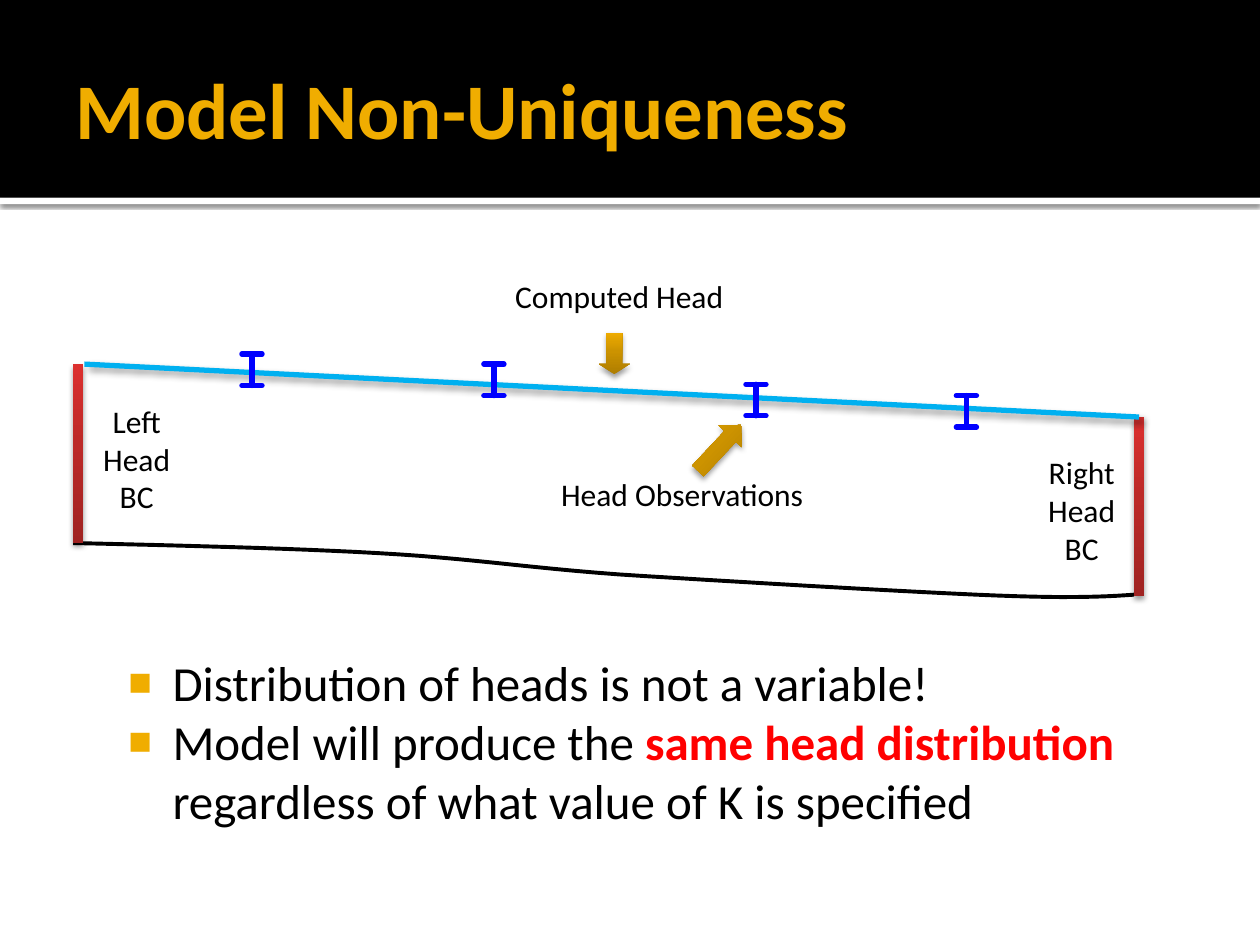
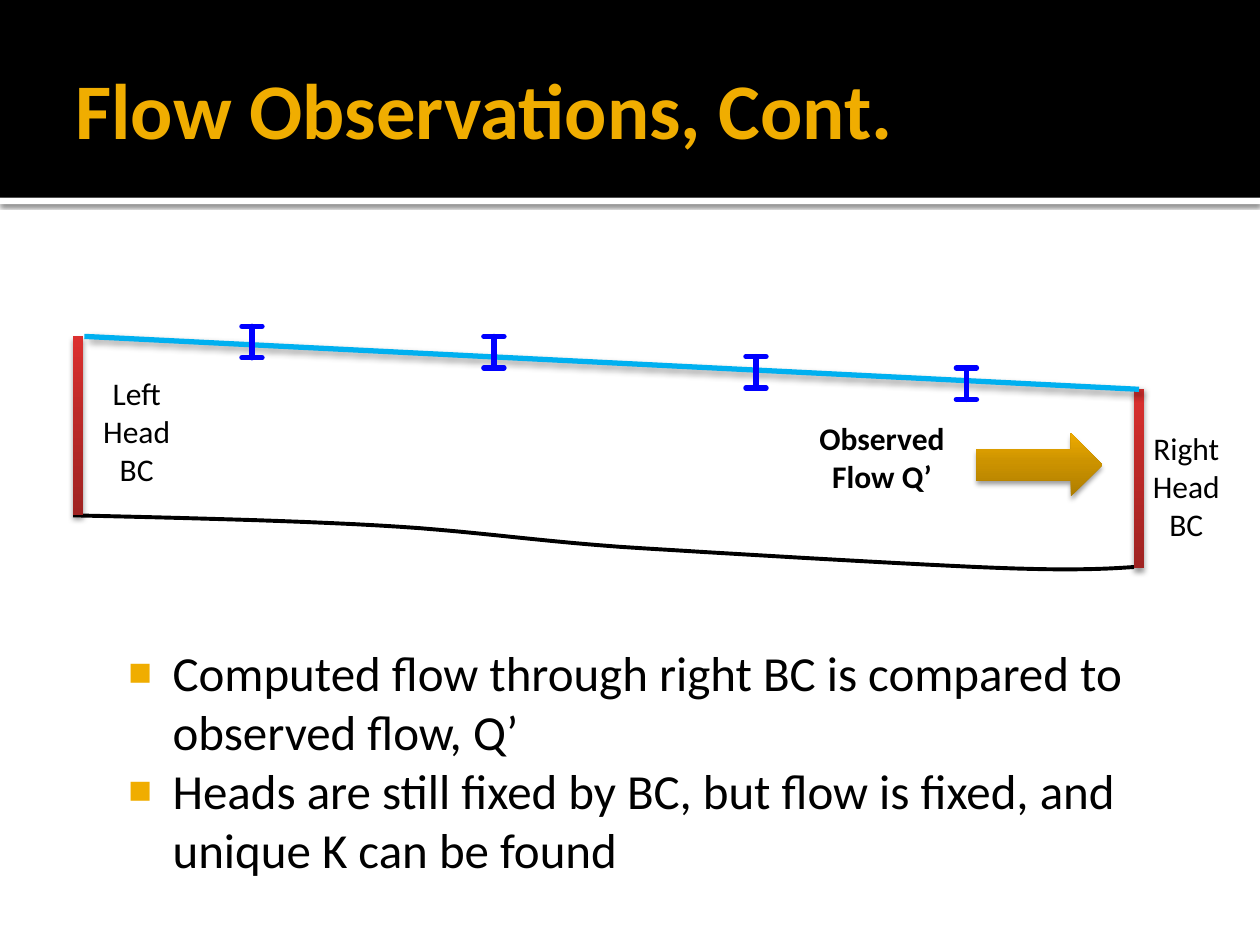
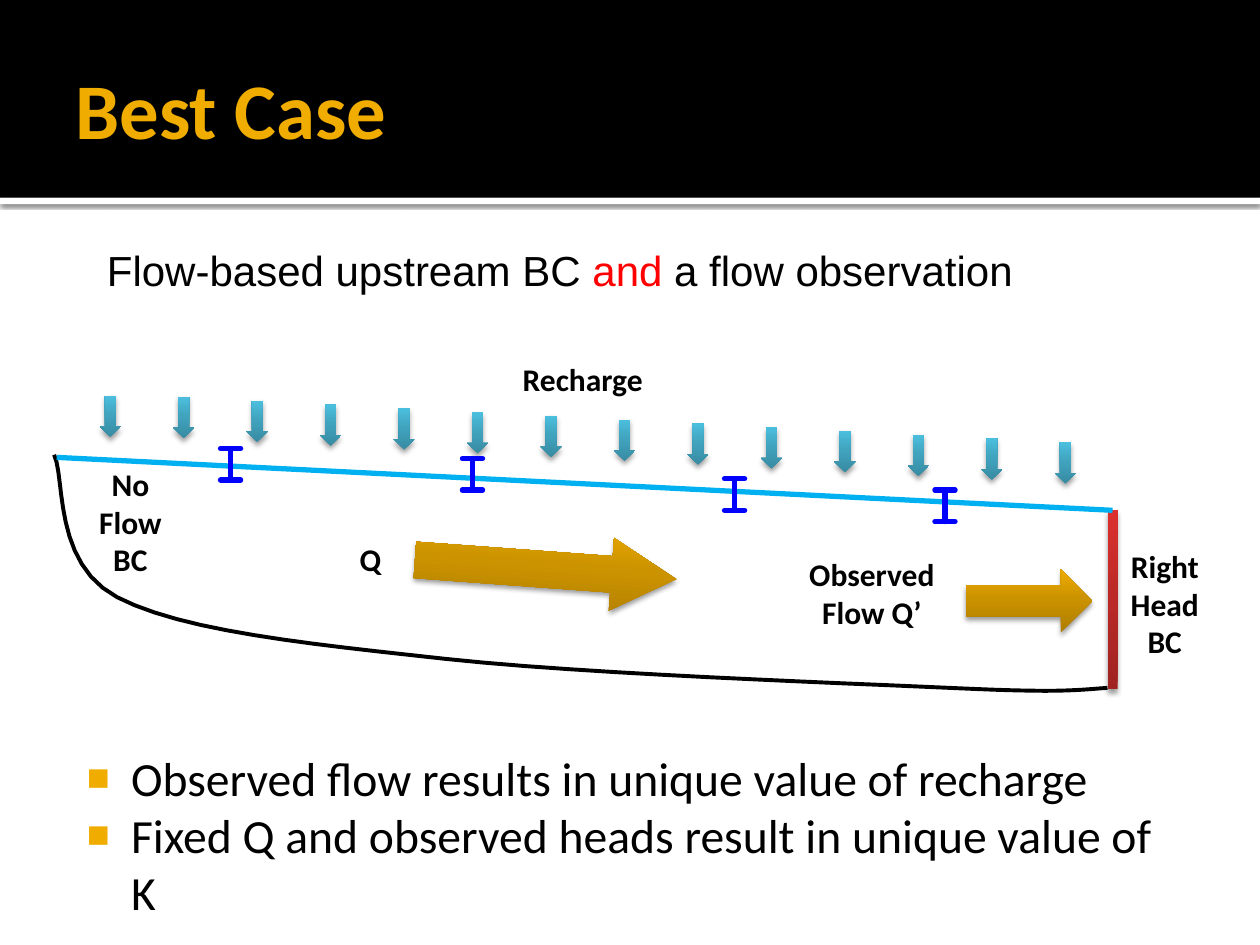
import copy
from dataclasses import dataclass

import lxml.etree
import pptx
import pptx.dml.color
import pptx.enum.shapes
import pptx.enum.text
import pptx.oxml.ns
import pptx.util
from pptx.util import Inches

SHAPE = pptx.enum.shapes.MSO_SHAPE
ALIGN = pptx.enum.text.PP_ALIGN
qn = pptx.oxml.ns.qn


@dataclass(frozen=True)
class Theme:
    font: str = "Calibri"
    subtitle_font: str = "Arial"
    black: str = "000000"
    white: str = "FFFFFF"
    gold: str = "F0AD00"
    red: str = "FF0000"
    water: str = "00B0F0"
    marker: str = "0000FF"
    # Gradients run from the bottom of a shape to its top.
    red_gradient: tuple = ("A02322", "BC2A28", "DC302F")
    gold_gradient: tuple = ("AE7D00", "CC9300", "EEAB00")
    blue_gradient: tuple = ("378BA2", "41A4BF", "4BBFDE")
    gradient_positions: tuple = (0, 0.55, 1)
    # Shadows: opacity %, blur pt, distance pt, direction in degrees.
    band_shadow: tuple = (60, 2.5, 0.8, 90)
    shape_shadow: tuple = (38, 3.1, 2, 90)
    line_shadow: tuple = (40, 4, 3, 45)
    title_size: float = 45
    body_size: float = 28
    small_body_size: float = 27.2
    subtitle_size: float = 24
    label_size: float = 18


THEME = Theme()

# Bezier control points: x from the left edge, y below the water table's start.
SLOPING_BED = [
    (0.58, 1.42), (1.43, 1.44), (2.28, 1.46), (3, 1.5), (3.72, 1.54),
    (4.12, 1.61), (4.92, 1.67), (5.71, 1.72), (7.07, 1.8), (7.75, 1.83),
    (8.43, 1.86), (8.72, 1.85), (9, 1.83),
]
BASIN_BED = [
    (0.43, -0.02), (0.52, 0.17), (0.42, 0.84), (0.93, 1.11), (1.45, 1.38),
    (2.44, 1.48), (3.54, 1.6), (4.64, 1.72), (6.66, 1.79), (7.54, 1.83),
    (8.41, 1.87), (8.5, 1.85), (8.79, 1.83),
]
# Steps from the first head observation to each one.
MARKER_STEPS = [(0, 0), (1.92, 0.08), (4, 0.24), (5.67, 0.33)]


def rgb(color):
    return pptx.dml.color.RGBColor.from_string(color)


def set_shadow(shape, shadow=None):
    """Replace the theme's shadow; call after fill and line are set."""
    properties = shape.element.spPr
    for effects in properties.findall(qn("a:effectLst")):
        properties.remove(effects)
    effects = lxml.etree.SubElement(properties, qn("a:effectLst"))
    if shadow:
        opacity, blur, distance, direction = shadow
        outer = lxml.etree.SubElement(
            effects, qn("a:outerShdw"),
            blurRad=str(pptx.util.Pt(blur)), dist=str(pptx.util.Pt(distance)),
            dir=str(direction * 60000), algn="ctr", rotWithShape="0")
        color = lxml.etree.SubElement(outer, qn("a:srgbClr"), val=THEME.black)
        lxml.etree.SubElement(color, qn("a:alpha"), val=str(opacity * 1000))


def fill_gradient(shape, colors):
    shape.fill.gradient()
    shape.fill.gradient_angle = 90
    stops = shape.element.spPr.find(".//" + qn("a:gsLst"))
    stops.insert(1, copy.deepcopy(stops[0]))
    for stop, color, position in zip(
            shape.fill.gradient_stops, colors, THEME.gradient_positions):
        stop.color.rgb = rgb(color)
        stop.position = position


def add_filled_shape(slide, kind, box, fill, shadow=None, rotation=0):
    """Add a shape without outline; fill is a colour or a gradient tuple."""
    shape = slide.shapes.add_shape(kind, *map(Inches, box))
    shape.rotation = rotation
    shape.shadow.inherit = False
    if isinstance(fill, tuple):
        fill_gradient(shape, fill)
    else:
        shape.fill.solid()
        shape.fill.fore_color.rgb = rgb(fill)
    shape.line.fill.background()
    set_shadow(shape, shadow)
    return shape


def add_arrow(slide, kind, box, colors, rotation=0, adjustments=(0.5, 0.5)):
    arrow = add_filled_shape(slide, kind, box, colors, THEME.shape_shadow, rotation)
    for index, value in enumerate(adjustments):
        arrow.adjustments[index] = value


def add_line(slide, start, end, color, shadow=None, round_cap=False):
    line = slide.shapes.add_connector(
        pptx.enum.shapes.MSO_CONNECTOR.STRAIGHT, *map(Inches, (*start, *end)))
    line.line.color.rgb = rgb(color)
    line.line.width = pptx.util.Pt(3)
    if round_cap:
        line.element.spPr.find(qn("a:ln")).set("cap", "rnd")
    set_shadow(line, shadow)


def bezier_points(controls, steps=12):
    """Sample a chain of cubic curves, leaving out its first point."""
    for first in range(0, len(controls) - 1, 3):
        for step in range(1, steps + 1):
            t = step / steps
            weights = ((1 - t) ** 3, 3 * t * (1 - t) ** 2, 3 * t ** 2 * (1 - t), t ** 3)
            yield tuple(
                sum(weight * point[axis]
                    for weight, point in zip(weights, controls[first:first + 4]))
                for axis in (0, 1))


def add_bed(slide, controls, top):
    """Draw the aquifer bottom as an open curve."""
    start_x, start_y = controls[0]
    builder = slide.shapes.build_freeform(Inches(start_x), Inches(top + start_y))
    builder.add_line_segments(
        [(Inches(x), Inches(top + y)) for x, y in bezier_points(controls)], close=False)
    bed = builder.convert_to_shape()
    bed.shadow.inherit = False
    bed.fill.background()
    bed.line.color.rgb = rgb(THEME.black)
    bed.line.width = pptx.util.Pt(2.25)


def add_head_boundary(slide, left, top):
    add_filled_shape(slide, SHAPE.RECTANGLE, (left, top, 0.08, 1.42),
                     THEME.red_gradient, THEME.shape_shadow)


def add_head_markers(slide, left, top):
    """Draw the I-shaped head observations, the first centred on left."""
    for step_x, step_y in MARKER_STEPS:
        x, upper = left + step_x, top + step_y
        lower = upper + 0.25
        add_line(slide, (x, upper), (x, lower), THEME.marker, round_cap=True)
        for y in (upper, lower):
            add_line(slide, (x - 0.08, y), (x + 0.08, y), THEME.marker, round_cap=True)


def add_two_head_section(slide, top):
    """Draw an aquifer with a fixed head at both ends."""
    add_bed(slide, SLOPING_BED, top)
    add_head_boundary(slide, 0.58, top)
    add_head_boundary(slide, 9, top + 0.42)
    add_label(slide, "Left Head BC", (0.67, top + 0.25, 0.83, 1))
    add_line(slide, (0.67, top), (9.04, top + 0.42), THEME.water, THEME.line_shadow)
    add_head_markers(slide, 2, top - 0.08)


def add_run(paragraph, text, size, color=THEME.black, bold=False, font=THEME.font):
    run = paragraph.add_run()
    run.text = text
    run.font.name = font
    run.font.size = pptx.util.Pt(size)
    run.font.bold = bold
    run.font.color.rgb = rgb(color)


def add_text_box(slide, box):
    frame = slide.shapes.add_textbox(*map(Inches, box)).text_frame
    frame.word_wrap = True
    return frame.paragraphs[0]


def add_label(slide, text, box, bold=False):
    paragraph = add_text_box(slide, box)
    paragraph.alignment = ALIGN.CENTER
    add_run(paragraph, text, THEME.label_size, bold=bold)


def add_observed_flow(slide, left, top):
    add_label(slide, "Observed Flow Q’", (left, top, 1.5, 0.7), bold=True)
    add_arrow(slide, SHAPE.RIGHT_ARROW, (left + 1.5, top + 0.16, 1, 0.5),
              THEME.gold_gradient)


def set_margins(frame, *margins):
    (frame.margin_left, frame.margin_top,
     frame.margin_right, frame.margin_bottom) = map(Inches, margins)
    frame.word_wrap = True
    frame.auto_size = pptx.enum.text.MSO_AUTO_SIZE.NONE


def place(shape, box):
    shape.left, shape.top, shape.width, shape.height = map(Inches, box)


def set_title(slide, text):
    frame = slide.shapes.title.text_frame
    set_margins(frame, 0.1, 0.05, 0.05, 0.05)
    frame.vertical_anchor = pptx.enum.text.MSO_ANCHOR.MIDDLE
    paragraph = frame.paragraphs[0]
    paragraph.alignment = ALIGN.LEFT
    add_run(paragraph, text, THEME.title_size, THEME.gold, bold=True)


def add_bullet(paragraph):
    paragraph.space_before = pptx.util.Pt(0)
    properties = paragraph._p.get_or_add_pPr()
    properties.set("marL", str(Inches(0.48)))
    properties.set("indent", str(Inches(-0.35)))
    color = lxml.etree.SubElement(properties, qn("a:buClr"))
    lxml.etree.SubElement(color, qn("a:srgbClr"), val=THEME.gold)
    lxml.etree.SubElement(properties, qn("a:buSzPct"), val="80000")
    lxml.etree.SubElement(properties, qn("a:buFont"), typeface="Arial")
    lxml.etree.SubElement(properties, qn("a:buChar"), char="■")


def set_bullets(slide, box, items, size=THEME.body_size):
    """Fill the body; each item is a list of runs (text, colour, bold)."""
    body = slide.placeholders[1]
    place(body, box)
    frame = body.text_frame
    set_margins(frame, 0.06, 0.1, 0.1, 0.05)
    frame.vertical_anchor = pptx.enum.text.MSO_ANCHOR.TOP
    for index, runs in enumerate(items):
        paragraph = frame.add_paragraph() if index else frame.paragraphs[0]
        add_bullet(paragraph)
        for text, *style in runs:
            add_run(paragraph, text, size, *style)


def set_up_layout(layout, slide):
    """Draw the title bands on a slide, then move them to its layout."""
    place(layout.placeholders[0], (0.5, 0.17, 9, 1.37))
    bands = [
        add_filled_shape(slide, SHAPE.RECTANGLE, (0, 1.57, 10, 0.05),
                         THEME.white, THEME.band_shadow),
        add_filled_shape(slide, SHAPE.RECTANGLE, (0, 0, 10, 1.57), THEME.black),
    ]
    for index, band in enumerate(bands):
        band.element.nvSpPr.cNvPr.set("id", str(100 + index))
        layout.shapes.element.insert(2 + index, band.element)


def build_non_uniqueness(slide):
    set_title(slide, "Model Non-Uniqueness")
    set_bullets(slide, (0.83, 5.08, 8.5, 1.92), [
        [("Distribution of heads is not a variable!",)],
        [("Model will produce the ",),
         ("same head distribution ", THEME.red, True),
         ("regardless of what value of K is specified",)],
    ])
    add_two_head_section(slide, 2.89)
    add_label(slide, "Right Head BC", (8.17, 3.55, 0.83, 1))
    add_label(slide, "Computed Head", (3.58, 2.15, 2.67, 0.4))
    add_arrow(slide, SHAPE.DOWN_ARROW, (4.75, 2.64, 0.25, 0.33),
              THEME.gold_gradient, adjustments=(0.5, 0.33))
    add_label(slide, "Head Observations", (4.08, 3.72, 2.67, 0.4))
    add_arrow(slide, SHAPE.RIGHT_ARROW, (5.46, 3.43, 0.5, 0.25),
              THEME.gold_gradient, rotation=313.1)


def build_flow_observations(slide):
    set_title(slide, "Flow Observations, Cont.")
    set_bullets(slide, (0.83, 5, 8.5, 2.08), [
        [("Computed flow through right BC is compared to observed flow, Q’",)],
        [("Heads are still fixed by BC, but flow is fixed, and unique K can be found",)],
    ])
    add_observed_flow(slide, 6.25, 3.28)
    add_two_head_section(slide, 2.67)
    add_label(slide, "Right Head BC", (9, 3.36, 0.83, 1))


def build_best_case(slide):
    set_title(slide, "Best Case")
    set_bullets(slide, (0.5, 5.84, 9, 1.16), [
        [("Observed flow results in unique value of recharge",)],
        [("Fixed Q and observed heads result in unique value of K",)],
    ], THEME.small_body_size)
    subtitle = add_text_box(slide, (0.75, 1.89, 7.92, 0.5))
    for text, color in [("Flow-based upstream BC ", THEME.black),
                        ("and", THEME.red),
                        (" a flow observation", THEME.black)]:
        add_run(subtitle, text, THEME.subtitle_size, color, font=THEME.subtitle_font)

    add_bed(slide, BASIN_BED, 3.63)
    add_head_boundary(slide, 8.79, 4.05)
    add_line(slide, (0.45, 3.63), (8.83, 4.05), THEME.water)
    for text, box in [("No Flow BC", (0.62, 3.64, 0.83, 1)),
                      ("Right Head BC", (8.83, 4.29, 0.83, 1)),
                      ("Recharge", (3.29, 2.81, 2.67, 0.4)),
                      ("Q", (2.67, 4.24, 0.54, 0.4))]:
        add_label(slide, text, box, bold=True)
    for index in range(14):
        top = max(3.14, 3.12 + 0.03 * index)
        add_arrow(slide, SHAPE.DOWN_ARROW, (0.79 + 7.58 / 13 * index, top, 0.17, 0.33),
                  THEME.blue_gradient)
    add_arrow(slide, SHAPE.RIGHT_ARROW, (3.29, 4.23, 2.08, 0.58),
              THEME.gold_gradient, rotation=4.2, adjustments=(0.5, 0.89))
    add_observed_flow(slide, 6.17, 4.36)
    add_head_markers(slide, 1.83, 3.56)


def main():
    presentation = pptx.Presentation()
    presentation.slide_width = Inches(10)
    presentation.slide_height = Inches(7.5)
    layout = presentation.slide_layouts[1]
    builders = [build_non_uniqueness, build_flow_observations, build_best_case]
    slides = [presentation.slides.add_slide(layout) for _ in builders]
    set_up_layout(layout, slides[0])
    for build, slide in zip(builders, slides):
        build(slide)
    presentation.save("out.pptx")


if __name__ == "__main__":
    main()
